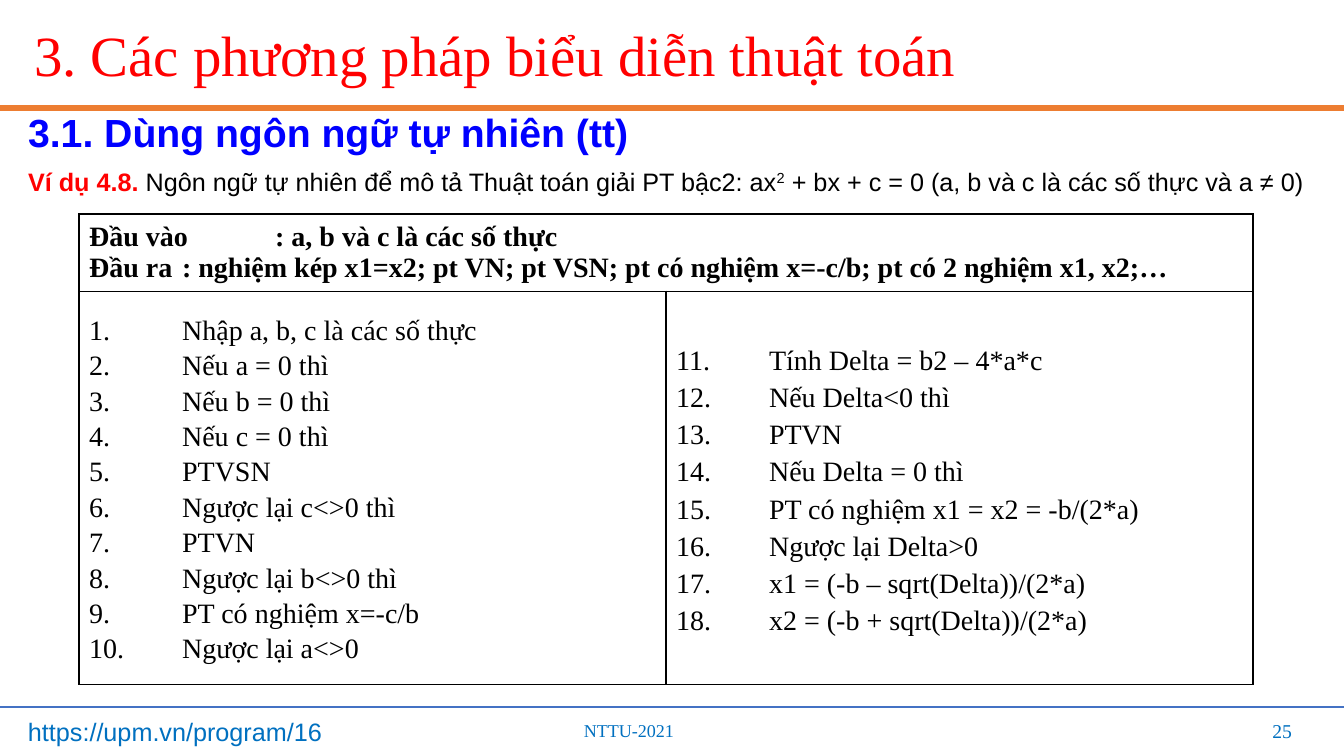
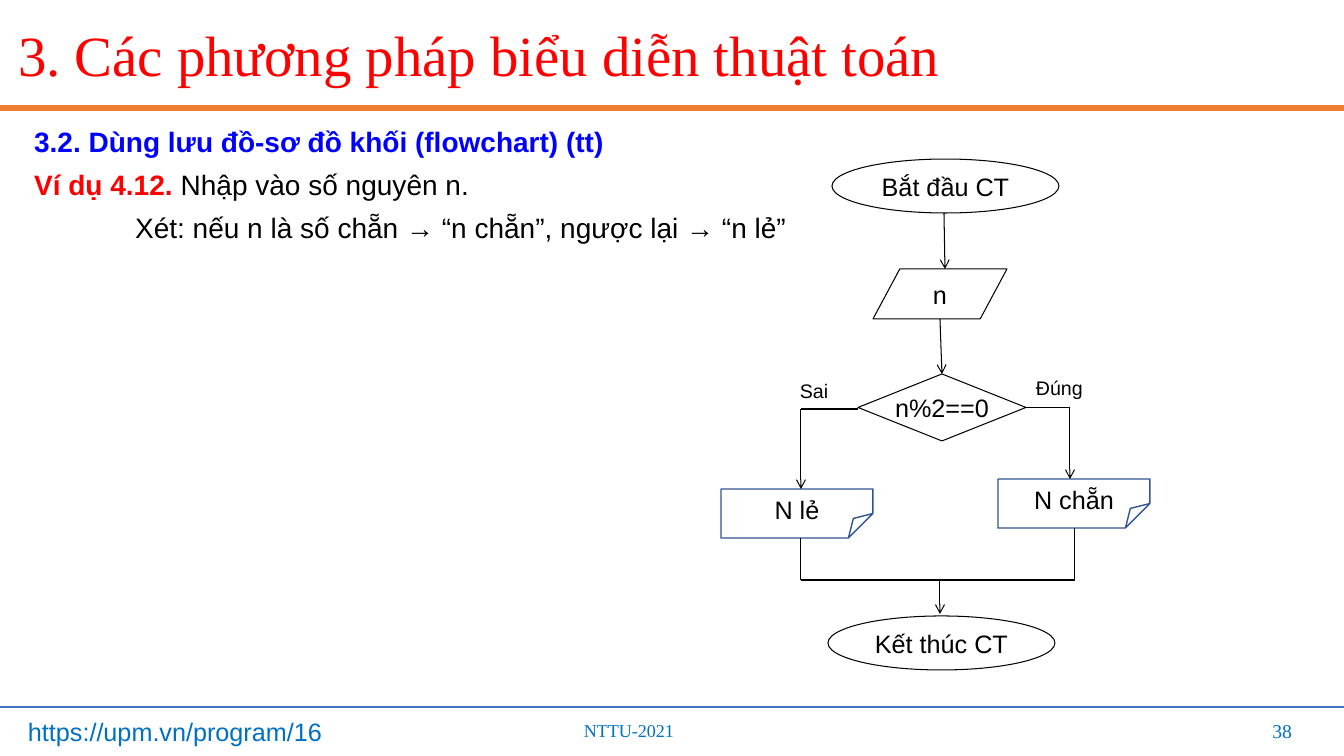
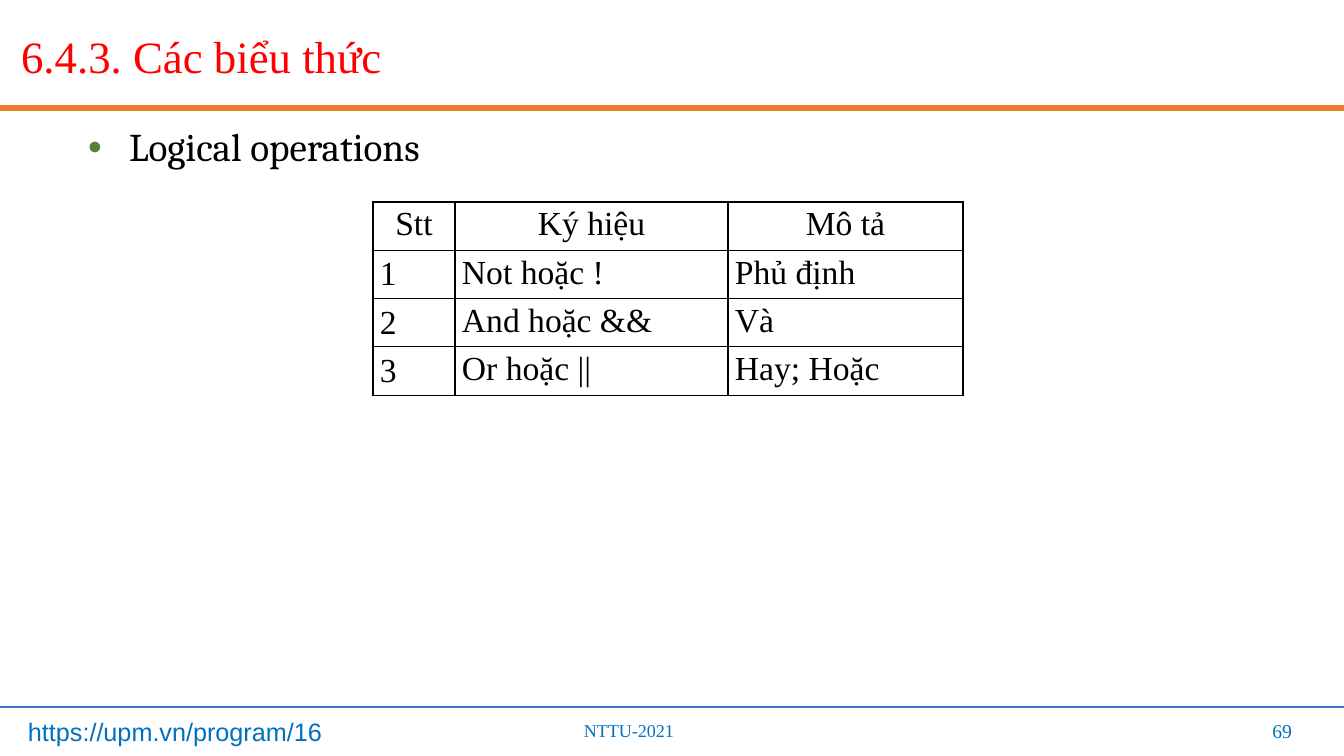
"""Build three lecture slides on describing algorithms and on logical operations."""
from lxml import etree
from pptx import Presentation
from pptx.dml.color import RGBColor
from pptx.enum.shapes import MSO_CONNECTOR, MSO_SHAPE
from pptx.enum.text import MSO_ANCHOR, MSO_AUTO_SIZE, PP_ALIGN
from pptx.oxml.ns import qn
from pptx.util import Emu, Pt

STRAIGHT = MSO_CONNECTOR.STRAIGHT
ELLIPSE, NOTE = MSO_SHAPE.OVAL, MSO_SHAPE.FOLDED_CORNER
INPUT, DECISION = MSO_SHAPE.FLOWCHART_DATA, MSO_SHAPE.FLOWCHART_DECISION
LEFT, CENTER, RIGHT, JUSTIFY = PP_ALIGN.LEFT, PP_ALIGN.CENTER, PP_ALIGN.RIGHT, PP_ALIGN.JUSTIFY
TOP, MIDDLE = MSO_ANCHOR.TOP, MSO_ANCHOR.MIDDLE
NO_FIT = MSO_AUTO_SIZE.NONE

BLACK = RGBColor(0x00, 0x00, 0x00)
WHITE = RGBColor(0xFF, 0xFF, 0xFF)
RED = RGBColor(0xFF, 0x00, 0x00)
BLUE = RGBColor(0x00, 0x00, 0xFF)
ORANGE = RGBColor(0xED, 0x7D, 0x31)
RULE_BLUE = RGBColor(0x44, 0x72, 0xC4)
FOOTER_BLUE = RGBColor(0x00, 0x70, 0xC0)
NOTE_BLUE = RGBColor(0x32, 0x54, 0x91)
GREEN = RGBColor(0x54, 0x82, 0x35)
SERIF, SANS, CAMBRIA = "Times New Roman", "Arial", "Cambria"

SCALE = 914400 / 100.8
WIDTH, HEIGHT = 1344, 756
TAB = 93

RULES = [(108, ORANGE, 4.5), (707, RULE_BLUE, 1.5)]
FOOTERS = [("NTTU-2021", (574, 715, 179, 32), 12.9, SERIF),
           ("https://upm.vn/program/16", (18, 711, 346, 40), 18, SANS)]
NUMBER_BOX = (1000, 711, 302, 40)

METHODS_TITLE = "3. Các phương pháp biểu diễn thuật toán"
HEADING_1 = "3.1. Dùng ngôn ngữ tự nhiên (tt)"
EXAMPLE_1 = [("Ví dụ 4.8. ", RED, True, 0),
             ("Ngôn ngữ tự nhiên để mô tả Thuật toán giải PT bậc2: ax", BLACK, False, 0),
             ("2", BLACK, False, 30000),
             (" + bx + c = 0 (a, b và c là các số thực và a ≠ 0)", BLACK, False, 0)]
IN_OUT = ["Đầu vào\t: a, b và c là các số thực",
          "Đầu ra\t: nghiệm kép x1=x2; pt VN; pt VSN; pt có nghiệm x=-c/b; "
          "pt có 2 nghiệm x1, x2;…"]
STEPS = ["Nhập a, b, c là các số thực", "Nếu a = 0 thì", "Nếu b = 0 thì", "Nếu c = 0 thì",
         "PTVSN", "Ngược lại c<>0 thì", "PTVN", "Ngược lại b<>0 thì",
         "PT có nghiệm x=-c/b", "Ngược lại a<>0",
         "Tính Delta = b2 – 4*a*c", "Nếu Delta<0 thì", "PTVN", "Nếu Delta = 0 thì",
         "PT có nghiệm x1 = x2 = -b/(2*a)", "Ngược lại Delta>0",
         "x1 = (-b – sqrt(Delta))/(2*a)", "x2 = (-b + sqrt(Delta))/(2*a)"]
LEFT_STEPS = 10

HEADING_2 = "3.2. Dùng lưu đồ-sơ đồ khối (flowchart) (tt)"
EXAMPLE_2 = [("Ví dụ 4.12.", RED, True, 0), (" Nhập vào số nguyên n.", BLACK, False, 0)]
QUESTION = "Xét: nếu n là số chẵn → “n chẵn”, ngược lại → “n lẻ”"
NODES = {"start": (ELLIPSE, "Bắt đầu CT", (832, 159, 227, 54)),
         "input": (INPUT, "n", (873, 269, 134, 50)),
         "test": (DECISION, "n%2==0", (858, 374, 168, 67)),
         "end": (ELLIPSE, "Kết thúc CT", (828, 616, 227, 54)),
         "odd": (NOTE, "N lẻ", (721, 489, 152, 49)),
         "even": (NOTE, "N chẵn", (998, 479, 152, 49))}
ROUTES = [([(944, 213), (945, 269)], True, None),
          ([(940, 319), (942, 374)], True, "test"),
          ([(858, 409), (801, 409), (801, 489)], True, None),
          ([(1026, 408), (1070, 408), (1070, 479)], True, None),
          ([(801, 538), (801, 580), (1075, 580), (1075, 528)], False, None),
          ([(940, 580), (940, 614)], True, None)]
BRANCH_LABELS = [("Đúng", (1026, 371, 67, 33)), ("Sai", (790, 374, 67, 33))]

OPERATORS = [("Stt", "Ký hiệu", "Mô tả"),
             ("1", "Not hoặc !", "Phủ định"),
             ("2", "And hoặc &&", "Và"),
             ("3", "Or hoặc ||", "Hay; Hoặc")]


def px(v):
    return Emu(round(v * SCALE))


def box(values):
    return [px(v) for v in values]


def add_run(p, text, size, font, color, bold=False, baseline=0):
    r = p.add_run()
    r.text = text
    r.font.size, r.font.name, r.font.bold = Pt(size), font, bold
    r.font.color.rgb = color
    if baseline:
        r.font._element.set("baseline", str(baseline))


def next_paragraph(tf, align=LEFT, spacing=None):
    p = tf.paragraphs[0]
    if p.runs:
        p = tf.add_paragraph()
    p.alignment = align
    if spacing:
        p.line_spacing = spacing
    return p


def set_indent(p, margin=0, first=0, bullet=None, color=None):
    pPr = p._p.get_or_add_pPr()
    pPr.set("marL", str(px(margin)))
    pPr.set("indent", str(px(first)))
    if not bullet:
        etree.SubElement(pPr, qn("a:buNone"))
        return
    bu = etree.SubElement(pPr, qn("a:buClr"))
    etree.SubElement(bu, qn("a:srgbClr"), val=str(color))
    etree.SubElement(pPr, qn("a:buFont"), typeface=SANS)
    etree.SubElement(pPr, qn("a:buChar"), char=bullet)


def set_tabs(p):
    pPr = p._p.get_or_add_pPr()
    pPr.set("defTabSz", str(px(TAB)))
    tabs = etree.SubElement(pPr, qn("a:tabLst"))
    for stop in (TAB, 2 * TAB):
        etree.SubElement(tabs, qn("a:tab"), pos=str(px(stop)), algn="l")


def add_text(s, text, area, size, font, color, align=LEFT, anchor=TOP):
    sp = s.shapes.add_textbox(*box(area))
    tf = sp.text_frame
    tf.word_wrap, tf.vertical_anchor = True, anchor
    add_run(next_paragraph(tf, align), text, size, font, color)
    return sp


def add_line(s, start, end, color, width, arrow=False):
    c = s.shapes.add_connector(STRAIGHT, *box(start + end))
    c.line.color.rgb, c.line.width = color, Pt(width)
    if arrow:
        etree.SubElement(c.line._get_or_add_ln(), qn("a:tailEnd"), type="arrow")
    etree.SubElement(c._element.spPr, qn("a:effectLst"))
    return c


def place(sp, area, anchor):
    sp.left, sp.top, sp.width, sp.height = box(area)
    tf = sp.text_frame
    tf.word_wrap, tf.auto_size, tf.vertical_anchor = True, NO_FIT, anchor
    return tf


def add_slide(prs, title, number, left, size, body_area):
    s = prs.slides.add_slide(prs.slide_layouts[1])
    for y, color, width in RULES:
        add_line(s, (0, y), (WIDTH, y), color, width)
    for text, area, pt, font in FOOTERS:
        add_text(s, text, area, pt, font, FOOTER_BLUE)
    add_text(s, number, NUMBER_BOX, 14, SERIF, FOOTER_BLUE, RIGHT, MIDDLE)
    tf = place(s.shapes.title, (left, 3, WIDTH - left, 111), MIDDLE)
    add_run(next_paragraph(tf, LEFT, 0.9), title, size, SERIF, RED)
    return s, place(s.placeholders[1], body_area, TOP)


def add_body_line(tf, runs, size, align=LEFT, margin=0):
    p = next_paragraph(tf, align, 0.9)
    p.space_before = Pt(9.2 if len(tf.paragraphs) > 1 else 0)
    set_indent(p, margin)
    for text, color, bold, baseline in runs:
        add_run(p, text, size, SANS, color, bold, baseline)


def add_grid(s, left, top, cols, rows):
    frame = s.shapes.add_table(len(rows), len(cols), *box((left, top, sum(cols), sum(rows))))
    table = frame.table
    table.first_row = table.horz_banding = False
    for col, w in zip(table.columns, cols):
        col.width = px(w)
    for row, h in zip(table.rows, rows):
        row.height = px(h)
    for cell in table.iter_cells():
        cell.fill.background()
        tcPr = cell._tc.get_or_add_tcPr()
        for i, side in enumerate(("a:lnL", "a:lnR", "a:lnT", "a:lnB")):
            ln = etree.Element(qn(side), w=str(Pt(1)))
            fill = etree.SubElement(ln, qn("a:solidFill"))
            etree.SubElement(fill, qn("a:srgbClr"), val=str(BLACK))
            tcPr.insert(i, ln)
    return table


def fill_steps(cell, lines, spacing=None, bold=False):
    cell.vertical_anchor = MIDDLE
    for line in lines:
        p = next_paragraph(cell.text_frame, JUSTIFY, spacing)
        set_tabs(p)
        add_run(p, line, 20, SERIF, BLACK, bold)


def add_node(s, kind, text, area):
    sp = s.shapes.add_shape(kind, *box(area))
    sp.shadow.inherit = False
    sp.fill.background()
    note = kind == NOTE
    sp.line.color.rgb, sp.line.width = (NOTE_BLUE, Pt(1)) if note else (BLACK, Pt(0.75))
    if note:
        guides = sp._element.spPr.find(qn("a:prstGeom")).get_or_add_avLst()
        etree.SubElement(guides, qn("a:gd"), name="adj", fmla="val 50000")
    tf = sp.text_frame
    tf.word_wrap, tf.vertical_anchor = note, TOP if note else MIDDLE
    add_run(next_paragraph(tf, CENTER), text, 18, SANS, BLACK)
    return sp


def build_language_slide(prs):
    s, tf = add_slide(prs, METHODS_TITLE, "25", 24, 40.6, (18, 109, 1314, 560))
    add_body_line(tf, [(HEADING_1, BLUE, True, 0)], 28, JUSTIFY)
    add_body_line(tf, EXAMPLE_1, 18, JUSTIFY)
    table = add_grid(s, 79, 214, [587] * 2, [72, 364])
    table.cell(0, 0).merge(table.cell(0, 1))
    steps = [f"{n}.\t{step}" for n, step in enumerate(STEPS, 1)]
    fill_steps(table.cell(0, 0), IN_OUT, bold=True)
    fill_steps(table.cell(1, 0), steps[:LEFT_STEPS], 1.14)
    fill_steps(table.cell(1, 1), steps[LEFT_STEPS:], 1.2)


def build_flowchart_slide(prs):
    s, tf = add_slide(prs, METHODS_TITLE, "38", 8, 40.6, (24, 123, 1254, 546))
    add_body_line(tf, [(HEADING_2, BLUE, True, 0)], 20, JUSTIFY)
    add_body_line(tf, EXAMPLE_2, 20)
    add_body_line(tf, [(QUESTION, BLACK, False, 0)], 20, margin=101)
    nodes = {name: add_node(s, *node) for name, node in NODES.items()}
    for points, arrow, target in ROUTES:
        for start, end in zip(points, points[1:]):
            c = add_line(s, start, end, BLACK, 0.75, arrow and end == points[-1])
        if target:
            c.end_connect(nodes[target], 0)
    for text, area in BRANCH_LABELS:
        sp = add_text(s, text, area, 14, SANS, BLACK)
        sp.fill.solid()
        sp.fill.fore_color.rgb = WHITE


def build_operators_slide(prs):
    s, tf = add_slide(prs, "6.4.3. Các biểu thức", "69", 11, 32, (68, 123, 1211, 579))
    p = next_paragraph(tf, LEFT, 0.9)
    p.space_before = Pt(0)
    set_indent(p, 51, -41, "•", GREEN)
    add_run(p, "Logical operations", 28, CAMBRIA, BLACK)
    table = add_grid(s, 373, 202, [82, 273, 235], [48] * len(OPERATORS))
    for i, row in enumerate(OPERATORS):
        for j, text in enumerate(row):
            cell = table.cell(i, j)
            cell.margin_left = cell.margin_right = px(7)
            cell.margin_top = cell.margin_bottom = px(4)
            cell.vertical_anchor = MIDDLE if i and not j else TOP
            p = next_paragraph(cell.text_frame, LEFT if i else CENTER)
            add_run(p, text, 24, SERIF, BLACK)


def main():
    prs = Presentation()
    prs.slide_width, prs.slide_height = px(WIDTH), px(HEIGHT)
    build_language_slide(prs)
    build_flowchart_slide(prs)
    build_operators_slide(prs)
    prs.save("out.pptx")


if __name__ == "__main__":
    main()
